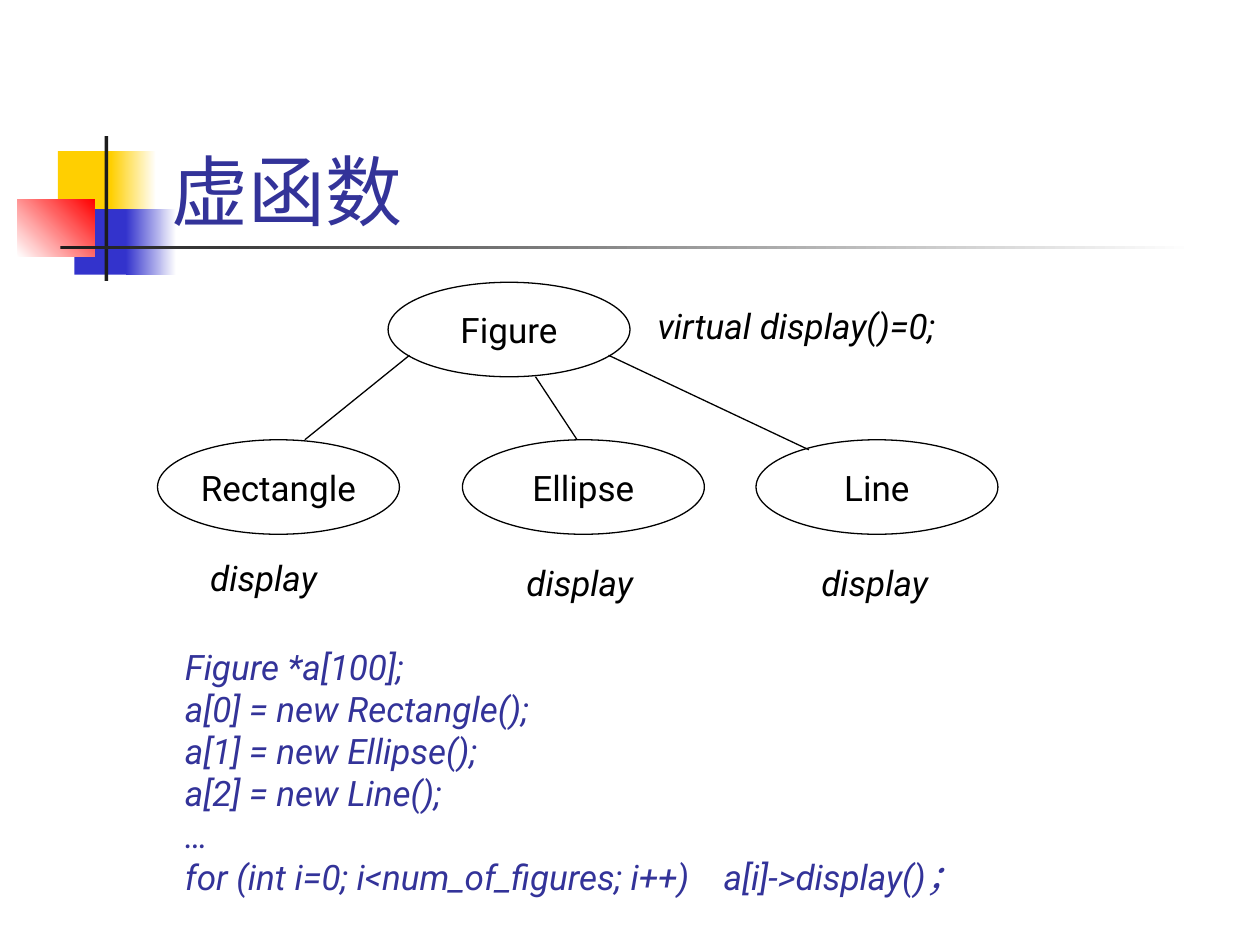
from pptx import Presentation
from pptx.dml.color import RGBColor
from pptx.enum.shapes import MSO_CONNECTOR, MSO_SHAPE
from pptx.enum.text import MSO_ANCHOR, PP_ALIGN
from pptx.oxml.ns import qn
from pptx.util import Inches, Pt
from lxml import etree

RECT, OVAL = MSO_SHAPE.RECTANGLE, MSO_SHAPE.OVAL
LINE = MSO_CONNECTOR.STRAIGHT
TOP, MID, LOW = MSO_ANCHOR.TOP, MSO_ANCHOR.MIDDLE, MSO_ANCHOR.BOTTOM
LEFT, MIDST = PP_ALIGN.LEFT, PP_ALIGN.CENTER
FONT = "Roboto"
COLORS = {
    "gold": "FFCF01", "blue": "3333CC", "red": "FF0000", "dark": "1C1C1C",
    "white": "FFFFFF", "black": "000000", "navy": "333399",
}
CODE = [
    "Figure *a[100];",
    "a[0] = new Rectangle();",
    "a[1] = new Ellipse();",
    "a[2] = new Line();",
    "…",
    "for (int i=0; i<num_of_figures; i++)    a[i]->display()；",
]


def color(name):
    """Return the named colour."""
    return RGBColor.from_string(COLORS[name])


def write(frame, lines, size=20, tint="black", italic=False, align=LEFT, anchor=TOP):
    """Fill a text frame with equally styled paragraphs."""
    frame.vertical_anchor = anchor
    frame.text = "\n".join(lines)
    for para in frame.paragraphs:
        para.alignment = align
        font = para.font
        font.name, font.size, font.italic = FONT, Pt(size), italic
        font.color.rgb = color(tint)


def add_text(slide, box, lines, **style):
    """Add a wrapping text box."""
    frame = slide.shapes.add_textbox(*map(Inches, box)).text_frame
    frame.word_wrap = True
    write(frame, lines, **style)


def add_block(slide, box, first, last=None, angle=0):
    """Add a borderless rectangle with a plain or gradient fill."""
    block = slide.shapes.add_shape(RECT, *map(Inches, box))
    block.shadow.inherit = False
    block.line.fill.background()
    if last is None:
        block.fill.solid()
        block.fill.fore_color.rgb = color(first)
        return
    block.fill.gradient()
    block.fill.gradient_angle = angle
    for stop, name, place in zip(block.fill.gradient_stops, (first, last), (0, 1)):
        stop.color.rgb = color(name)
        stop.position = place


def add_node(slide, left, top, name):
    """Add an outlined class ellipse."""
    node = slide.shapes.add_shape(OVAL, *map(Inches, (left, top, 1.92, 0.75)))
    node.shadow.inherit = False
    node.fill.background()
    node.line.color.rgb = color("black")
    node.line.width = Pt(0.75)
    node.text_frame.word_wrap = False
    write(node.text_frame, [name], align=MIDST, anchor=MID)


def add_line(slide, ends):
    """Add a thin straight line."""
    line = slide.shapes.add_connector(LINE, *map(Inches, ends))
    line.line.color.rgb = color("black")
    line.line.width = Pt(0.75)
    etree.SubElement(line._element.spPr, qn("a:effectLst"))


def add_decor(slide):
    """Add the coloured blocks and the rules around the title."""
    add_block(slide, (0.46, 1.2, 0.48, 0.52), "gold")
    add_block(slide, (0.88, 1.2, 0.36, 0.52), "gold", "white")
    add_block(slide, (0.59, 1.66, 0.46, 0.52), "blue")
    add_block(slide, (1, 1.66, 0.4, 0.52), "blue", "white")
    add_block(slide, (0.14, 1.58, 0.61, 0.46), "white", "red", 45)
    add_block(slide, (0.83, 1.08, 0.03, 1.15), "dark")
    add_block(slide, (0.48, 1.95, 9, 0.03), "dark", "white")


def add_tree(slide):
    """Add the class tree with its method labels."""
    add_node(slide, 3.08, 2.24, "Figure")
    add_text(slide, (5.12, 2.37, 2.49, 0.44), ["virtual display()=0;"], italic=True)
    kids = [
        ("Rectangle", 1.25, (1.57, 4.37), (3.25, 2.82, 2.42, 3.49)),
        ("Ellipse", 3.67, (4.08, 4.41), (4.25, 2.99, 4.58, 3.49)),
        ("Line", 6, (6.42, 4.41), (4.83, 2.82, 6.42, 3.57)),
    ]
    for name, left, label, ends in kids:
        add_node(slide, left, 3.49, name)
        add_text(slide, (*label, 1.16, 0.44), ["display"], italic=True)
        add_line(slide, ends)


def main():
    """Build and save the slide."""
    deck = Presentation()
    deck.slide_width, deck.slide_height = Inches(10), Inches(7.5)
    slide = deck.slides.add_slide(deck.slide_layouts[6])
    add_decor(slide)
    add_text(slide, (1.26, 0.67, 8.52, 1.25), ["虚函数"], size=44, tint="navy", anchor=LOW)
    add_tree(slide)
    add_text(slide, (1.37, 5.07, 6.67, 2.1), CODE, tint="navy", italic=True)
    deck.save("out.pptx")


if __name__ == "__main__":
    main()
